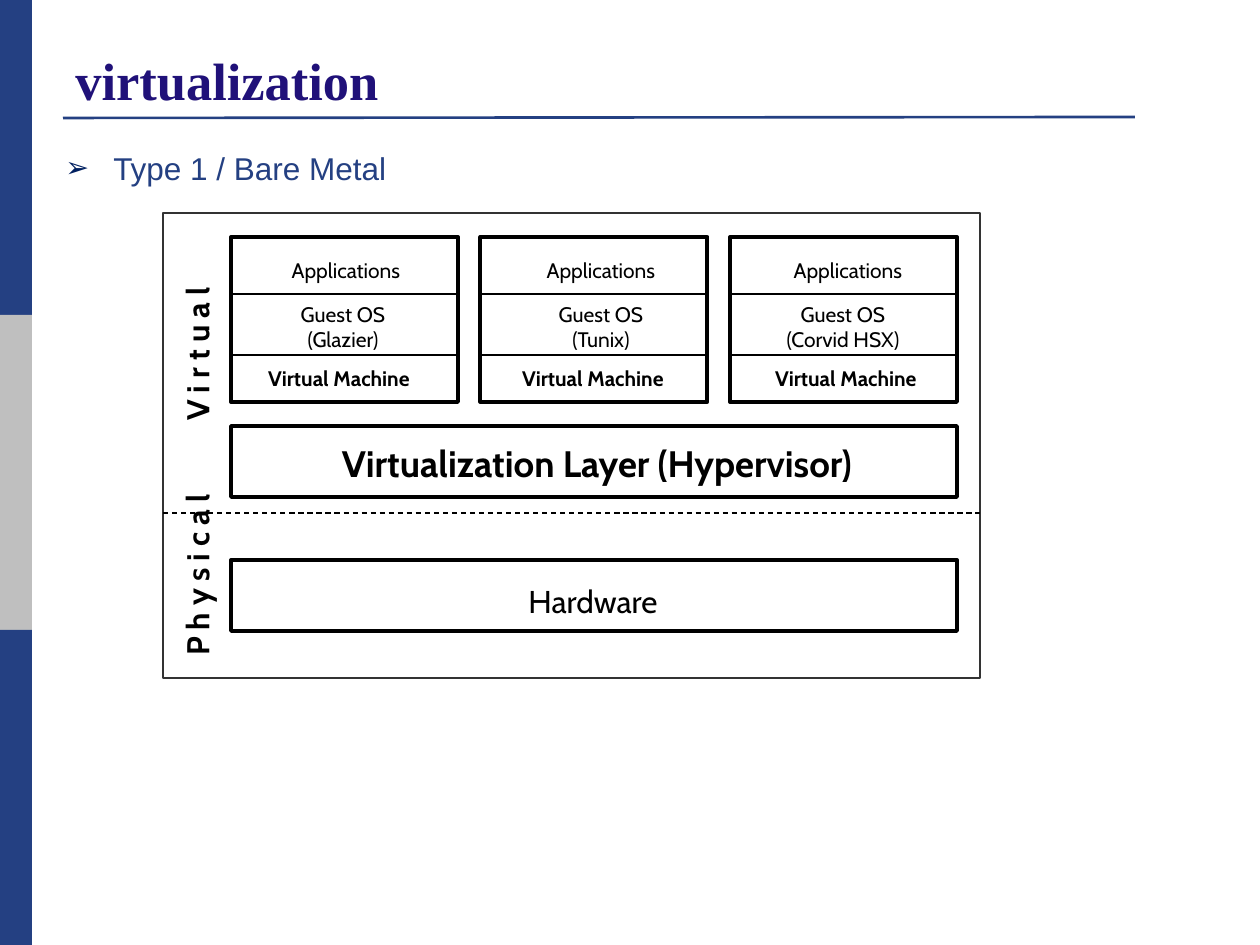
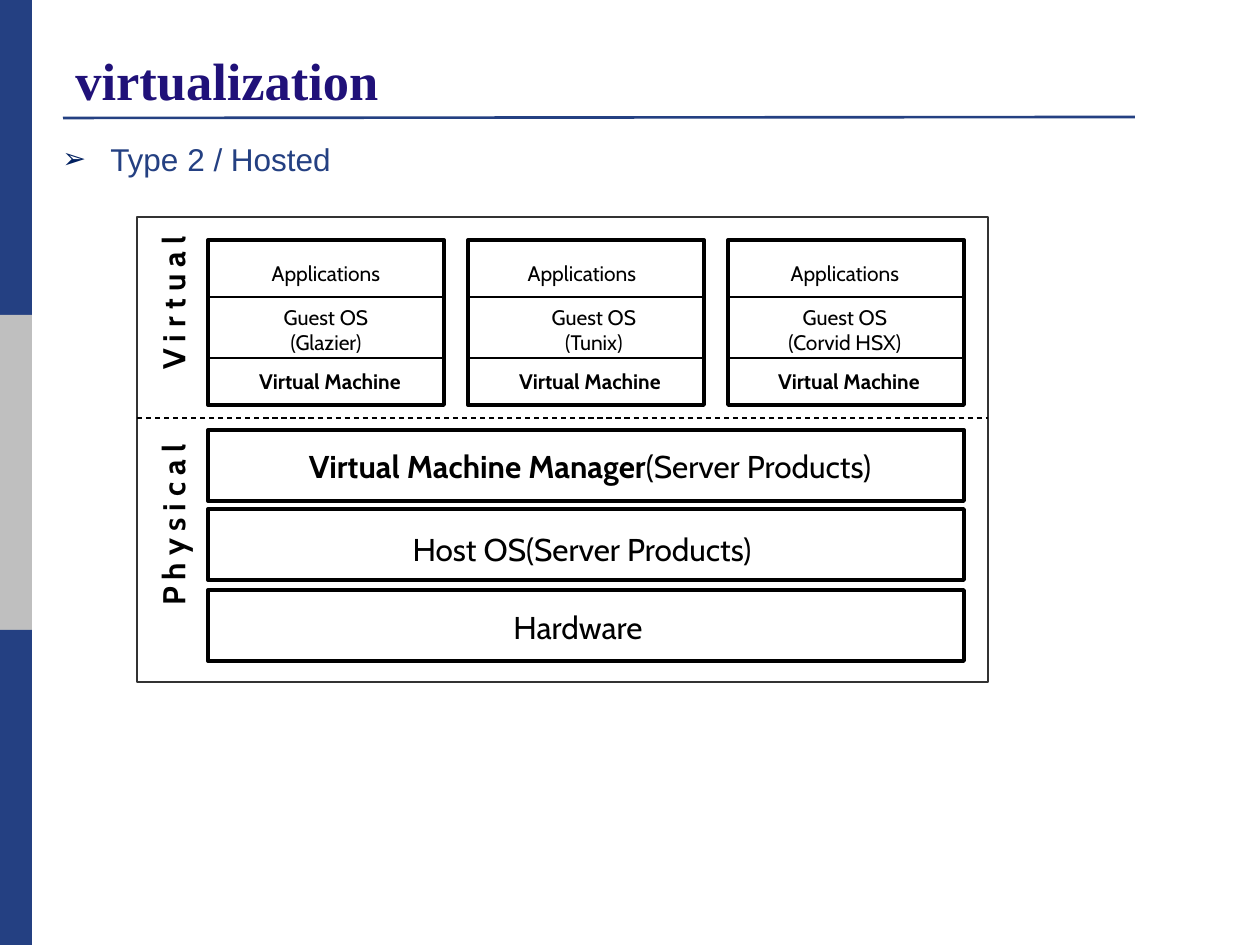
import pptx
import pptx.util
import pptx.dml.color
import pptx.enum.dml
import pptx.enum.shapes
import pptx.enum.text
import pptx.oxml

PX = 914400 / 126
NAVY, GREY, INK, BLACK, EDGE = "244082", "BFBFBF", "201179", "000000", "333333"
ARROW = "002060"
FACE = "Cabin"
TITLE = "virtualization"
BANDS = [NAVY, GREY, NAVY]
BAND = (32, 315)

# Each card: three rows of lines; the rows are the same on both slides.
GUESTS = ["(Glazier)", "(Tunix)", "(Corvid HSX)"]
CARD_H = 165
RULES = [57, 118]       # dividers, below the top of a card
ROWS = [14, 58, 122]    # text tops, below the top of a card
BAR_H = 71

# Bars: top of box, centre and top of text, size, runs of (text, bold).
# Sides: text, left, bottom. Mids: centre of each card's text, row by row.
SLIDES = [
    dict(
        head="Type 1 / Bare Metal", at=(53, 143),
        frame=(163, 213, 817, 465), split=513,
        left=231, wide=726, top=237, card=227,
        mids=[(346, 601, 848), (343, 601, 843), (339, 593, 846)],
        bars=[(426, 597, 435, 21, [("Virtualization Layer (Hypervisor)", True)]),
              (560, 593, 576, 18, [("Hardware", False)])],
        sides=[("V i r t u a l", 178, 421), ("P h y s i c a l", 178, 656)],
    ),
    dict(
        head="Type 2 / Hosted", at=(50, 134),
        frame=(137, 217, 851, 465), split=418,
        left=208, wide=756, top=240, card=236,
        mids=[(326, 582, 845), (326, 594, 845), (330, 590, 849)],
        bars=[(430, 590, 441, 18, [("Virtual Machine Manager", True),
                                   ("(Server Products)", False)]),
              (509, 582, 524, 18, [("Host OS(Server Products)", False)]),
              (590, 578, 602, 18, [("Hardware", False)])],
        sides=[("V i r t u a l", 154, 370), ("P h y s i c a l", 154, 606)],
    ),
]


def emu(*nums):
    return [round(n * PX) for n in nums]


def tint(code):
    return pptx.dml.color.RGBColor.from_string(code)


def rect(shapes, box, fill=None, line=None, pt=0.75):
    shape = shapes.add_shape(pptx.enum.shapes.MSO_SHAPE.RECTANGLE, *emu(*box))
    shape.shadow.inherit = False
    if fill:
        shape.fill.solid()
        shape.fill.fore_color.rgb = tint(fill)
    else:
        shape.fill.background()
    if line:
        shape.line.color.rgb = tint(line)
        shape.line.width = pptx.util.Pt(pt)
    else:
        shape.line.fill.background()


def rule(shapes, ends, color=BLACK, pt=0.75, dash=False):
    line = shapes.add_connector(
        pptx.enum.shapes.MSO_CONNECTOR.STRAIGHT, *emu(*ends))
    line.line.color.rgb = tint(color)
    line.line.width = pptx.util.Pt(pt)
    if dash:
        line.line.dash_style = pptx.enum.dml.MSO_LINE.DASH
    props = line._element.spPr
    props.append(props.makeelement(pptx.oxml.ns.qn("a:effectLst"), {}))


def text(shapes, box, runs, size, font=FACE, color=BLACK, mid=False):
    """Add a text box; runs are (text, bold) pairs, None breaks the line."""
    shape = shapes.add_textbox(*emu(*box))
    frame = shape.text_frame
    frame.word_wrap = True
    para = frame.paragraphs[0]
    if mid:
        para.alignment = pptx.enum.text.PP_ALIGN.CENTER
    for part in runs:
        if part is None:
            para.add_line_break()
            continue
        run = para.add_run()
        run.text, run.font.bold = part
        run.font.size = pptx.util.Pt(size)
        run.font.name = font
        run.font.color.rgb = tint(color)
    return frame


def label(shapes, mid, top, runs, size, wide):
    text(shapes, (mid - wide / 2, top, wide, 50), runs, size, mid=True)


def bullet(para):
    props = para._p.get_or_add_pPr()
    indent = round(0.38 * 914400)
    props.set("marL", str(indent))
    props.set("indent", str(-indent))
    space = pptx.oxml.ns.nsdecls("a")
    for xml in (f'<a:buClr {space}><a:srgbClr val="{ARROW}"/></a:buClr>',
                f'<a:buSzPct {space} val="90000"/>',
                f'<a:buFont {space} typeface="Arial"/>',
                f'<a:buChar {space} char="➢"/>'):
        props.append(pptx.oxml.parse_xml(xml))


def side(shapes, words, left, base):
    """Add a label that reads upwards from base."""
    frame = text(shapes, (left, base - 190, 38, 190), [(words, True)], 18)
    frame.margin_left = frame.margin_right = 0
    frame.margin_top = frame.margin_bottom = 0
    frame._txBody.bodyPr.set("vert", "vert270")


def base(shapes, head, at):
    """Draw bands, title, rule and the bulleted heading."""
    wide, high = BAND
    for i, color in enumerate(BANDS):
        rect(shapes, (0, i * high, wide, high), fill=color)
    rule(shapes, (63, 118, 1135, 117), NAVY, 1.5)
    frame = text(shapes, (63, 38, 1072, 79), [(TITLE, True)], 30,
                 "Times New Roman", INK)
    frame.vertical_anchor = pptx.enum.text.MSO_ANCHOR.BOTTOM
    frame = text(shapes, (*at, 1080, 48), [(head, False)], 18, "Arial", NAVY)
    bullet(frame.paragraphs[0])


def stack(shapes, data):
    """Draw the layers from the virtual machines down to the hardware."""
    x, y, wide, high = data["frame"]
    rect(shapes, (x, y, wide, high), line=EDGE)
    rule(shapes, (x, data["split"], x + wide, data["split"]), dash=True)
    card, top = data["card"], data["top"]
    step = (data["wide"] - card) / 2
    for i, guest in enumerate(GUESTS):
        left = data["left"] + i * step
        rect(shapes, (left, top, card, CARD_H), line=BLACK, pt=2.25)
        for drop in RULES:
            rule(shapes, (left, top + drop, left + card, top + drop))
        rows = [[("Applications", False)],
                [("Guest OS", False), None, (guest, False)],
                [("Virtual Machine", True)]]
        for runs, drop, mids in zip(rows, ROWS, data["mids"]):
            label(shapes, mids[i], top + drop, runs, 12, 200)
    for y, mid, line, size, runs in data["bars"]:
        rect(shapes, (data["left"], y, data["wide"], BAR_H),
             line=BLACK, pt=2.25)
        label(shapes, mid, line, runs, size, 640)
    for words, left, foot in data["sides"]:
        side(shapes, words, left, foot)


def main():
    deck = pptx.Presentation()
    deck.slide_width, deck.slide_height = emu(1260, 945)
    for data in SLIDES:
        shapes = deck.slides.add_slide(deck.slide_layouts[6]).shapes
        base(shapes, data["head"], data["at"])
        stack(shapes.add_group_shape().shapes, data)
    deck.save("out.pptx")


if __name__ == "__main__":
    main()
